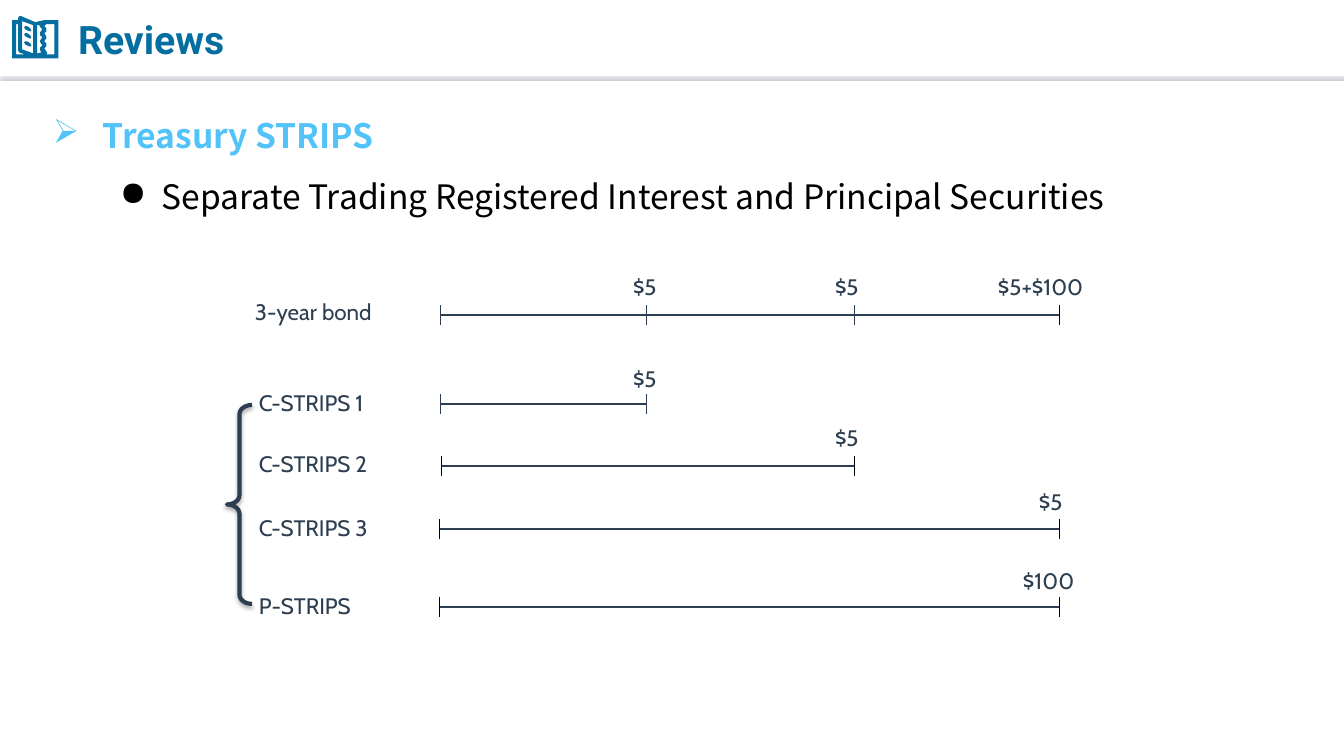
"""Build the Treasury STRIPS review slide."""
import lxml.etree
import pptx
import pptx.dml.color
import pptx.enum.shapes
import pptx.enum.text
import pptx.oxml
import pptx.oxml.ns
import pptx.util

BLUE = pptx.dml.color.RGBColor(0x05, 0x6E, 0xA0)
SKY = pptx.dml.color.RGBColor(0x51, 0xC3, 0xF9)
NAVY = pptx.dml.color.RGBColor(0x2C, 0x3E, 0x50)
BLACK = pptx.dml.color.RGBColor(0, 0, 0)
WHITE = pptx.dml.color.RGBColor(255, 255, 255)

TITLE_FONT = {"size": pptx.util.Pt(28), "name": "Roboto", "bold": True}
HEADING_FONT = {"size": pptx.util.Pt(24), "name": "Noto Sans CJK SC", "bold": True}
BODY_FONT = {**HEADING_FONT, "bold": False}
LABEL_FONT = {"size": pptx.util.Pt(16), "name": "Cabin", "bold": False}

PAGE_MARKS = [
    [(25, top), (27, top), (30, top + 2), (31, top + 4), (31, top + 5),
     (29, top + 5), (25, top + 3), (24, top + 1)]
    for top in (26, 33, 41)
]
BOOK_OUTLINES = [
    [(21, 16), (35, 22), (44, 20), (56, 20), (57.5, 20.5), (58, 22), (58, 56), (57.5, 57.5),
     (56, 58), (14, 58), (12.5, 57.5), (12, 56), (12, 22), (12.5, 20.5), (14, 20), (18, 20),
     (18, 18), (19, 16.5)],
    [(22, 21), (22, 49), (33, 53), (33, 25)],
    [(16, 24), (16, 54), (25, 54), (19, 52), (18, 50), (18, 24)],
    [(39, 25), (37, 25), (37, 53), (41, 52), (40, 50), (39.5, 48.5), (40, 47), (42, 45),
     (40, 42), (39.5, 41), (40, 40), (42, 37), (40, 35), (39.5, 33.5), (40, 32), (42, 29),
     (40, 27)],
    [(46, 24), (44, 26), (46, 28), (46.5, 29.5), (46, 31), (44, 33), (46, 36), (46.5, 37),
     (46, 38), (44, 41), (46, 43), (46.5, 44.5), (46, 46), (44, 48), (46, 51), (47, 52),
     (46, 54), (54, 54), (54, 24)],
    *PAGE_MARKS,
]

TIMELINES = [
    (315, "3-year bond", (251, 290), {441: NAVY, 647: NAVY, 855: NAVY, 1060: BLACK},
     265, {629: "$5", 831: "$5", 994: "$5+$100"}),
    (404, "C-STRIPS 1", (255, 381), {441: NAVY, 647: NAVY}, 357, {629: "$5"}),
    (466, "C-STRIPS 2", (255, 442), {442: BLACK, 855: BLACK}, 416, {831: "$5"}),
    (529, "C-STRIPS 3", (255, 506), {440: BLACK, 1060: BLACK}, 480, {1035: "$5"}),
    (607, "P-STRIPS", (255, 584), {440: BLACK, 1060: BLACK}, 559, {1019: "$100"}),
]
LABEL_WIDTHS = {"$5": 41, "$100": 74, "$5+$100": 124}


def px(length):
    """Convert pixels to EMU."""
    return pptx.util.Emu(round(length * 914400 / 100.8))


class SlideBuilder:
    """Hold the current slide and draw its elements in one style."""

    def __init__(self, presentation):
        """Add a title-only slide."""
        self.slide = presentation.slides.add_slide(presentation.slide_layouts[5])
        self.shapes = self.slide.shapes

    def add_text(self, paragraph, text, style, colour):
        """Put one formatted run into a paragraph."""
        run = paragraph.add_run()
        run.text = text
        for name, value in style.items():
            setattr(run.font, name, value)
        run.font.color.rgb = colour

    def title(self, text, box):
        """Place and format the title placeholder."""
        shape = self.shapes.title
        shape.left, shape.top, shape.width, shape.height = map(px, box)
        shape.text_frame.vertical_anchor = pptx.enum.text.MSO_ANCHOR.MIDDLE
        paragraph = shape.text_frame.paragraphs[0]
        paragraph.alignment = pptx.enum.text.PP_ALIGN.LEFT
        self.add_text(paragraph, text, TITLE_FONT, BLUE)

    def bullets(self, box, items):
        """Add a text box of bulleted paragraphs."""
        frame = self.shapes.add_textbox(*map(px, box)).text_frame
        frame.word_wrap = True
        for index, (mark, margin, hanging, text, style, colour) in enumerate(items):
            paragraph = frame.add_paragraph() if index else frame.paragraphs[0]
            paragraph.level = index
            properties = paragraph._p.get_or_add_pPr()
            properties.set("marL", str(px(margin)))
            properties.set("indent", str(-px(hanging)))
            bullet = lxml.etree.SubElement(properties, pptx.oxml.ns.qn("a:buChar"))
            bullet.set("char", mark)
            paragraph.line_spacing = 1.5
            self.add_text(paragraph, text, style, colour)

    def label(self, text, left, top, width):
        """Add a small one-line label."""
        frame = self.shapes.add_textbox(*map(px, (left, top, width, 43))).text_frame
        frame.word_wrap = False
        frame.vertical_anchor = pptx.enum.text.MSO_ANCHOR.MIDDLE
        for side in ("left", "top", "right", "bottom"):
            setattr(frame, f"margin_{side}", px(4))
        self.add_text(frame.paragraphs[0], text, LABEL_FONT, NAVY)

    def effects(self, shape, shadow=None):
        """Replace the theme shadow by the given one or by none."""
        effects = lxml.etree.SubElement(shape._element.spPr, pptx.oxml.ns.qn("a:effectLst"))
        if shadow:
            colour, opacity, blur, distance = shadow
            effects.append(pptx.oxml.parse_xml(
                f'<a:outerShdw {pptx.oxml.ns.nsdecls("a")} blurRad="{pptx.util.Pt(blur)}" '
                f'dist="{pptx.util.Pt(distance)}" dir="5400000" rotWithShape="0">'
                f'<a:srgbClr val="{colour}"><a:alpha val="{opacity * 1000}"/></a:srgbClr>'
                '</a:outerShdw>'))

    def line(self, start, end, colour, weight, shadow=None):
        """Draw a straight line."""
        connector = self.shapes.add_connector(
            pptx.enum.shapes.MSO_CONNECTOR.STRAIGHT, *map(px, (*start, *end)))
        connector.line.color.rgb = colour
        connector.line.width = pptx.util.Pt(weight)
        self.effects(connector, shadow)

    def brace(self, box):
        """Draw the left brace around the strips."""
        shape = self.shapes.add_shape(pptx.enum.shapes.MSO_SHAPE.LEFT_BRACE, *map(px, box))
        shape.adjustments[0] = 0.37
        shape.adjustments[1] = 0.5
        shape.fill.background()
        shape.line.color.rgb = NAVY
        shape.line.width = pptx.util.Pt(3)
        self.effects(shape, ("000000", 35, 3.1, 1.8))

    def icon(self, outlines, colour):
        """Draw outlines given in hundredths of an inch as one filled shape."""
        builder = self.shapes.build_freeform(*outlines[0][0], scale=9144)
        for index, outline in enumerate(outlines):
            if index:
                builder.move_to(*outline[0])
            builder.add_line_segments(outline[1:], close=True)
        shape = builder.convert_to_shape()
        shape.shadow.inherit = False
        shape.fill.solid()
        shape.fill.fore_color.rgb = colour
        shape.line.fill.background()

    def timeline(self, y, name, name_place, ticks, payment_top, payments):
        """Draw one cash-flow line with its ticks and labels."""
        self.line((min(ticks), y), (max(ticks), y), NAVY, 1.5)
        for x, colour in ticks.items():
            self.line((x, y + 10), (x, y - 10), colour, 0.75)
        self.label(name, *name_place, 185)
        for left, amount in payments.items():
            self.label(amount, left, payment_top, LABEL_WIDTHS[amount])


def main():
    """Build and save the presentation."""
    presentation = pptx.Presentation()
    presentation.slide_width, presentation.slide_height = px(1344), px(756)
    builder = SlideBuilder(presentation)
    builder.line((0, 74), (1344, 74), WHITE, 0.75, ("BCB4C4", 100, 1, 3))
    builder.icon(BOOK_OUTLINES, BLUE)
    builder.title("Reviews", (68, 7, 742, 64))
    builder.bullets((43, 90, 1257, 624), [
        ("➢", 50, 50, "Treasury STRIPS", HEADING_FONT, SKY),
        ("●", 109, 42, "Separate Trading Registered Interest and Principal Securities",
         BODY_FONT, BLACK),
    ])
    for timeline in TIMELINES:
        builder.timeline(*timeline)
    builder.brace((227, 405, 25, 199))
    presentation.save("out.pptx")


if __name__ == "__main__":
    main()
